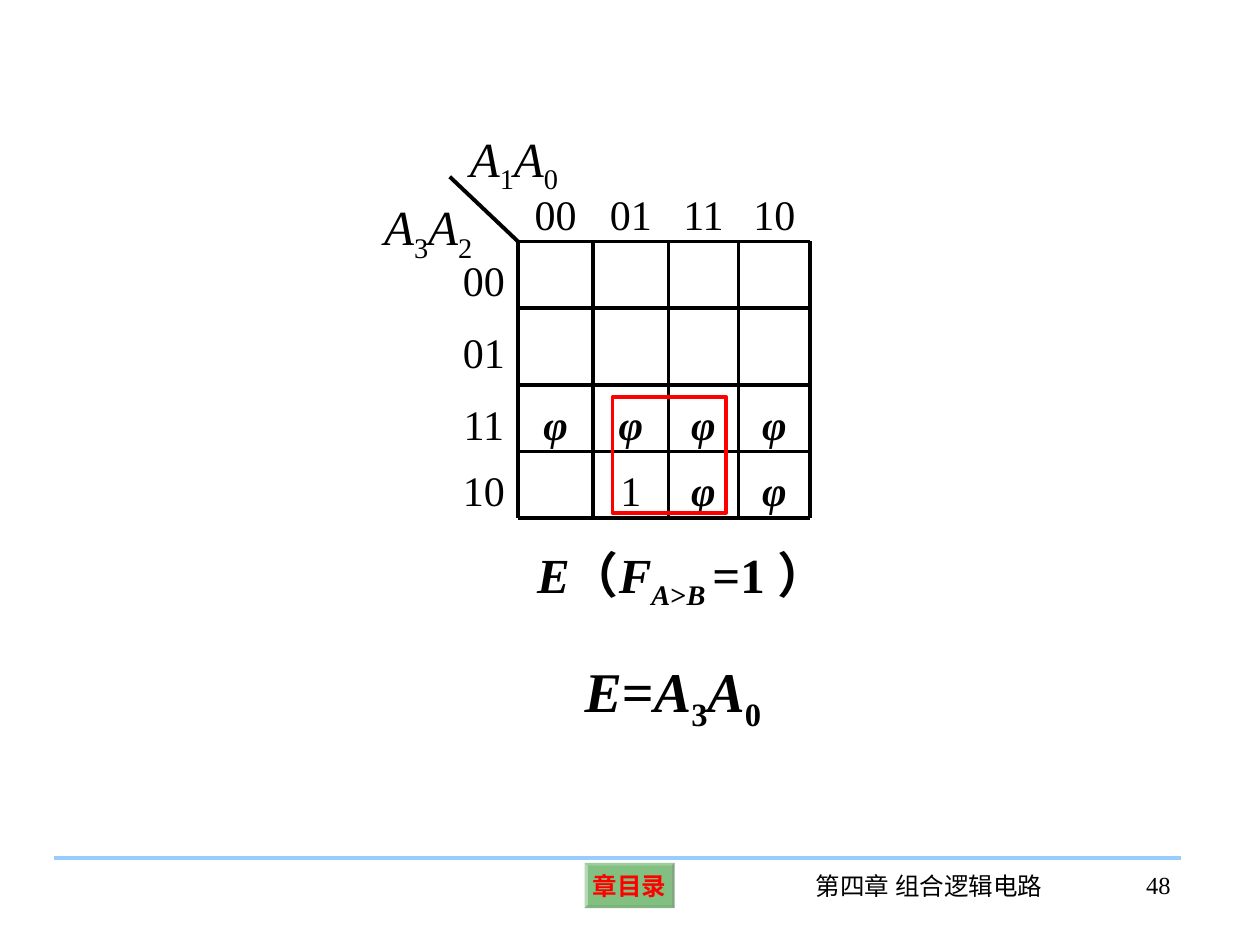
from itertools import pairwise

from pptx import Presentation
from pptx.dml.color import RGBColor
from pptx.enum.shapes import MSO_CONNECTOR as CONN, MSO_SHAPE as SHAPE
from pptx.enum.text import MSO_ANCHOR as ANCHOR, PP_ALIGN as ALIGN
from pptx.oxml.ns import qn
from pptx.util import Pt
from lxml.etree import SubElement

BLACK = RGBColor(0x00, 0x00, 0x00)
RED = RGBColor(0xFF, 0x00, 0x00)
GREEN = RGBColor(0x00, 0x80, 0x00)
SKY = RGBColor(0x99, 0xCC, 0xFF)
FONT = "Times New Roman"

COLS = [257, 296, 339, 382, 422, 463]
ROWS = [101, 138, 176, 220, 258, 296]
MAP = [
    ["", "00", "01", "11", "10"],
    ["00", "", "", "", ""],
    ["01", "", "", "", ""],
    ["11", "φ", "φ", "φ", "φ"],
    ["10", "", "1", "φ", "φ"],
]


def fill_text(sp, runs, size=24, color=BLACK, align=ALIGN.LEFT, anchor=ANCHOR.TOP,
              inset=(1.5, 0), wrap=True, spacing=None):
    tf = sp.text_frame
    tf.word_wrap = wrap
    tf.vertical_anchor = anchor
    tf.margin_left = tf.margin_right = Pt(inset[0])
    tf.margin_top = tf.margin_bottom = Pt(inset[1])
    p = tf.paragraphs[0]
    p.alignment = align
    p.line_spacing = spacing
    for words, style in runs:
        r = p.add_run()
        r.text = words
        r.font.name = FONT
        r.font.size = Pt(size)
        r.font.color.rgb = color
        r.font.bold = "b" in style
        r.font.italic = "i" in style
        if "s" in style:
            r._r.get_or_add_rPr().set("baseline", "-25000")


def add_text(s, box, runs, **fmt):
    sp = s.shapes.add_textbox(*map(Pt, box))
    fill_text(sp, runs, **fmt)


def add_line(s, x1, y1, x2, y2, color=BLACK):
    c = s.shapes.add_connector(CONN.STRAIGHT, Pt(x1), Pt(y1), Pt(x2), Pt(y2))
    c.line.color.rgb = color
    c.line.width = Pt(2.25)
    SubElement(c._element.spPr, qn("a:effectLst"))


def add_button(s, box, label):
    sp = s.shapes.add_shape(SHAPE.BEVEL, *map(Pt, box))
    sp.shadow.inherit = False
    sp.adjustments[0] = 0.07
    sp.fill.solid()
    sp.fill.fore_color.rgb = GREEN
    color = sp._element.spPr.find(qn("a:solidFill"))[0]
    SubElement(color, qn("a:alpha")).set("val", "49000")
    sp.line.fill.background()
    fill_text(sp, [(label, "b")], size=14, color=RED, align=ALIGN.CENTER,
              anchor=ANCHOR.MIDDLE, inset=(3, 3), wrap=False)


def add_group_box(s, box):
    sp = s.shapes.add_shape(SHAPE.RECTANGLE, *map(Pt, box))
    sp.shadow.inherit = False
    sp.fill.background()
    sp.line.color.rgb = RED
    sp.line.width = Pt(2.25)


def add_karnaugh_map(s):
    for (top, bottom), row in zip(pairwise(ROWS), MAP):
        for (left, right), value in zip(pairwise(COLS), row):
            if value:
                add_text(s, (left, top, right - left, bottom - top),
                         [(value, "bi" if value == "φ" else "")],
                         align=ALIGN.CENTER, anchor=ANCHOR.MIDDLE,
                         inset=(1.5, 1.5), spacing=1.2)
    add_line(s, COLS[0], ROWS[0], COLS[1], ROWS[1])
    for x in COLS[1:]:
        add_line(s, x, ROWS[1], x, ROWS[-1])
    for y in ROWS[1:]:
        add_line(s, COLS[1], y, COLS[-1], y)


def variables(first, second, style=""):
    return [("A", style + "i"), (first, style + "s"),
            ("A", style + "i"), (second, style + "s")]


def main():
    prs = Presentation()
    prs.slide_width, prs.slide_height = Pt(720), Pt(540)
    s = prs.slides.add_slide(prs.slide_layouts[6])

    add_button(s, (334, 493, 51.5, 26), "章目录")
    add_line(s, 31, 490.5, 675, 490.5, SKY)
    add_text(s, (449, 494, 164, 36), [("第四章 组合逻辑电路", "")],
             size=14, align=ALIGN.CENTER, inset=(7.2, 3.6))
    add_text(s, (614, 493.5, 62, 36), [("48", "")],
             size=14, align=ALIGN.RIGHT, inset=(7.2, 3.6))

    add_karnaugh_map(s)
    add_text(s, (218, 112.5, 63.5, 38), variables("3", "2"), size=28)
    add_text(s, (267, 73.5, 82, 38), variables("1", "0"), size=28)
    add_group_box(s, (350, 227, 65, 66))

    add_text(s, (334, 358, 101, 61),
             [("E", "bi"), ("=", "b"), *variables("3", "0", "b")],
             size=32, inset=(0, 0), wrap=False, spacing=1.4)
    add_text(s, (282.5, 307.5, 210, 45.5),
             [(" ", "bis"), ("E", "bi"), ("（", "b"), ("F", "bi"), ("A", "bis"),
              (">", "bs"), ("B ", "bis"), ("=1 ）", "b")],
             size=28, align=ALIGN.CENTER, inset=(3.6, 3.6), wrap=False)

    prs.save("out.pptx")


if __name__ == "__main__":
    main()
